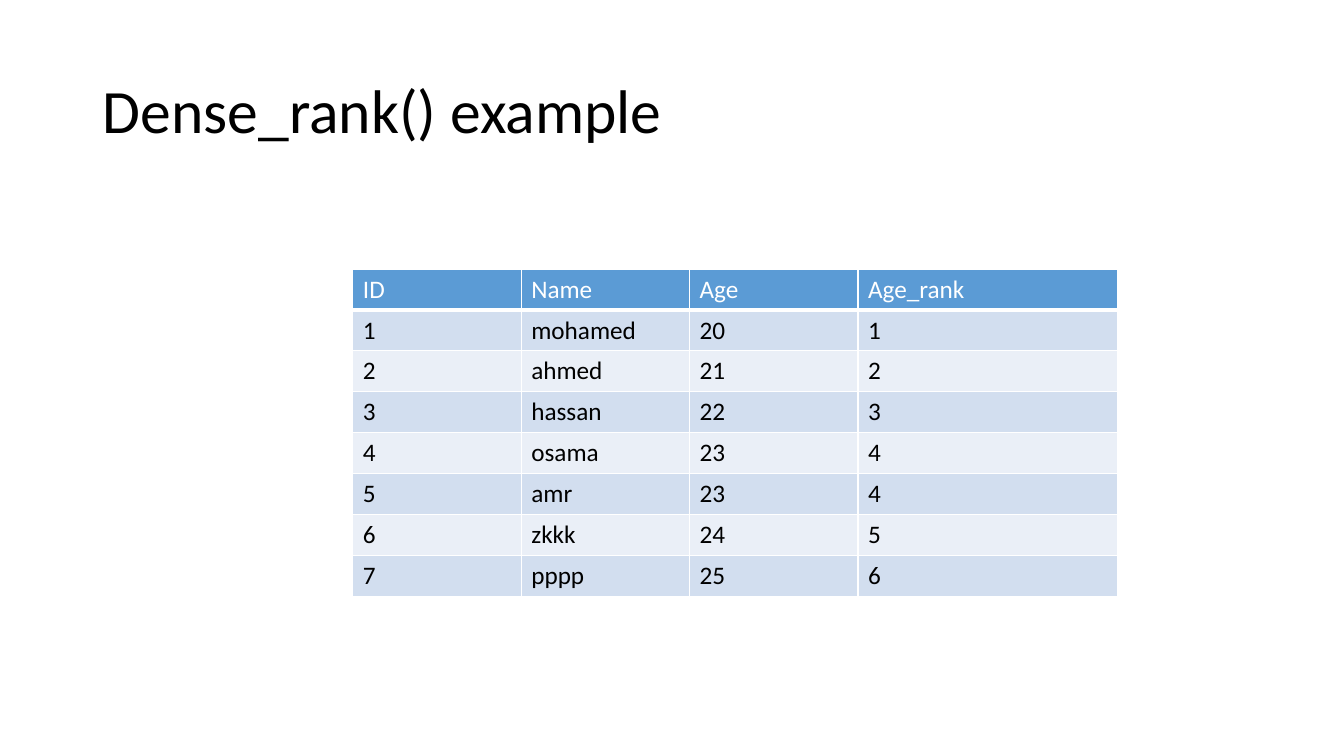
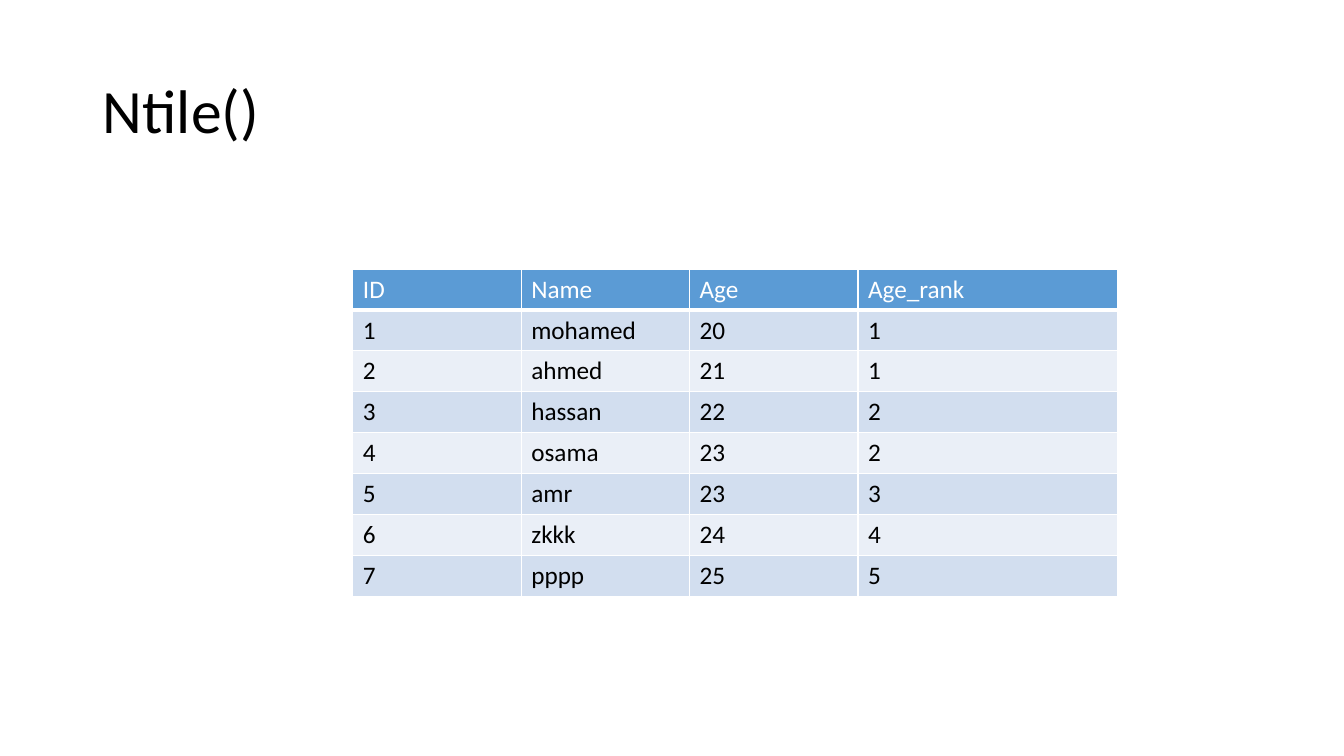
"""Build two slides that show SQL ranking functions on a table of people."""
import pptx
import pptx.dml.color
import pptx.enum.text
import pptx.oxml
import pptx.oxml.ns
import pptx.util
from pptx.util import Inches

COLORS = {
    "text": "000000",
    "white": "FFFFFF",
    "header": "5B9BD5",
    "odd_row": "D2DEEF",
    "even_row": "EAEFF7",
}
FONT = "Calibri"
HEADINGS = ("ID", "Name", "Age", "Age_rank")
PEOPLE = (
    ("mohamed", 20),
    ("ahmed", 21),
    ("hassan", 22),
    ("osama", 23),
    ("amr", 23),
    ("zkkk", 24),
    ("pppp", 25),
)
RANKINGS = {
    "Dense_rank() example": (1, 2, 3, 4, 4, 5, 6),
    "Ntile()": (1, 1, 2, 2, 3, 4, 5),
}


def rgb(color):
    return pptx.dml.color.RGBColor.from_string(COLORS[color])


def write(frame, text, size=18, color="text", spacing=1.0):
    paragraph = frame.paragraphs[0]
    paragraph.alignment = pptx.enum.text.PP_ALIGN.LEFT
    paragraph.line_spacing = spacing
    run = paragraph.add_run()
    run.text = str(text)
    run.font.name = FONT
    run.font.size = pptx.util.Pt(size)
    run.font.bold = False
    run.font.color.rgb = rgb(color)


class Deck:
    def __init__(self):
        self.presentation = pptx.Presentation()
        self.presentation.slide_width = Inches(13.33)
        self.presentation.slide_height = Inches(7.5)
        self.slide = None

    def add_slide(self, heading):
        layout = self.presentation.slide_layouts.get_by_name("Title Only")
        self.slide = self.presentation.slides.add_slide(layout)
        title = self.slide.shapes.title
        title.left, title.top = Inches(0.92), Inches(0.4)
        title.width, title.height = Inches(11.5), Inches(1.45)
        title.text_frame.vertical_anchor = pptx.enum.text.MSO_ANCHOR.MIDDLE
        write(title.text_frame, heading, size=44, spacing=0.9)

    def add_borders(self, cell, bottom=1):
        properties = cell._tc.get_or_add_tcPr()
        for side, points in (("L", 1), ("R", 1), ("T", 1), ("B", bottom)):
            properties.append(pptx.oxml.parse_xml(
                f'<a:ln{side} {pptx.oxml.ns.nsdecls("a")} w="{pptx.util.Pt(points)}">'
                f'<a:solidFill><a:srgbClr val="{COLORS["white"]}"/></a:solidFill>'
                f'</a:ln{side}>'))

    def add_table(self, rows, left, top, widths, height):
        table = self.slide.shapes.add_table(
            len(rows), len(widths), Inches(left), Inches(top),
            Inches(sum(widths)), Inches(height)).table
        for column, width in zip(table.columns, widths):
            column.width = Inches(width)
        for row_index, values in enumerate(rows):
            is_header = row_index == 0
            band = "header" if is_header else ("even_row", "odd_row")[row_index % 2]
            for column_index, value in enumerate(values):
                cell = table.cell(row_index, column_index)
                self.add_borders(cell, bottom=3 if is_header else 1)
                cell.fill.solid()
                cell.fill.fore_color.rgb = rgb(band)
                write(cell.text_frame, value, color="white" if is_header else "text")


def main():
    deck = Deck()
    for heading, ranks in RANKINGS.items():
        deck.add_slide(heading)
        ranked_people = [
            (number, name, age, rank)
            for number, ((name, age), rank) in enumerate(zip(PEOPLE, ranks), start=1)
        ]
        deck.add_table([HEADINGS, *ranked_people], left=3.5, top=2.67,
                       widths=(1.67, 1.67, 1.67, 2.58), height=3.24)
    deck.presentation.save("out.pptx")


if __name__ == "__main__":
    main()
